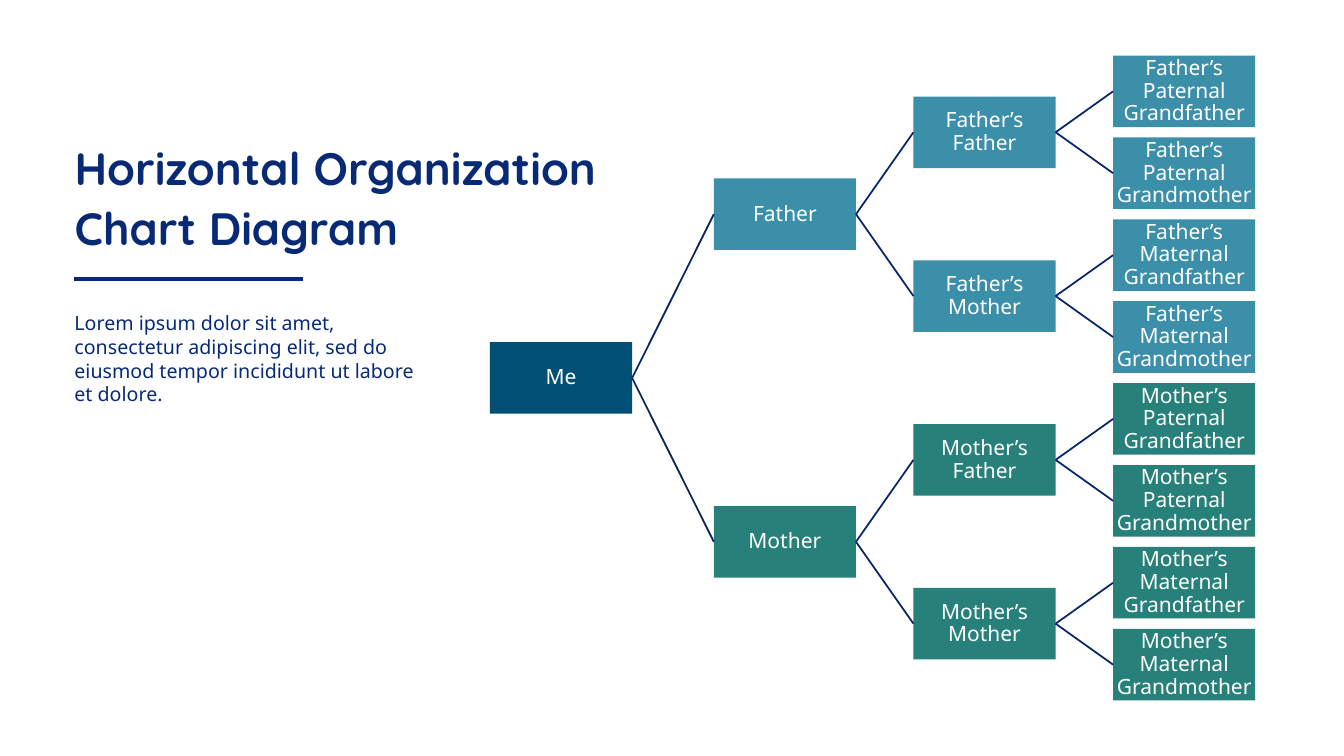
from itertools import product
from lxml import etree
from pptx import Presentation
from pptx.dml.color import RGBColor
from pptx.enum.shapes import MSO_CONNECTOR, MSO_SHAPE
from pptx.enum.text import MSO_ANCHOR, MSO_AUTO_SIZE, PP_ALIGN
from pptx.oxml.ns import qn
from pptx.util import Inches, Pt

RECT = MSO_SHAPE.RECTANGLE
LINE = MSO_CONNECTOR.STRAIGHT
LEFT, MID = PP_ALIGN.LEFT, PP_ALIGN.CENTER
TOP, CENTER, BOTTOM = MSO_ANCHOR.TOP, MSO_ANCHOR.MIDDLE, MSO_ANCHOR.BOTTOM
HEAD, BODY = "Quicksand", "Noto Sans"
NAVY, WHITE = "082A75", "FFFFFF"
ROOT, FATHER, MOTHER = "024F75", "3B8FA9", "27807A"
TRUNK, BRANCH = "06225E", "07266A"

SIDES = ("Father", "Mother")
LEVELS = [
    ["Me"],
    list(SIDES),
    [f"{a}’s {b}" for a, b in product(SIDES, SIDES)],
    [f"{a}’s {b} {c}" for a, b, c in product(
        SIDES, ("Paternal", "Maternal"), ("Grandfather", "Grandmother"))],
]
COLS = (0, 2.22, 4.2, 6.18)
CARD_W, CARD_H = 1.41, 0.71


def color(code):
    return RGBColor.from_string(code)


def write(shape, text, font, size, code, align, anchor, bold=False):
    frame = shape.text_frame
    frame.word_wrap = True
    frame.auto_size = MSO_AUTO_SIZE.NONE
    frame.vertical_anchor = anchor
    para = frame.paragraphs[0]
    para.alignment = align
    run = para.add_run()
    run.text = text
    run.font.name, run.font.size, run.font.bold = font, Pt(size), bold
    run.font.color.rgb = color(code)
    return para


def add_line(slide, ends, code, width):
    line = slide.shapes.add_connector(LINE, *(Inches(v) for v in ends))
    line.line.color.rgb = color(code)
    line.line.width = Pt(width)
    etree.SubElement(line._element.spPr, qn("a:effectLst"))
    return line


def add_card(slide, x, y, text, fill):
    card = slide.shapes.add_shape(
        RECT, Inches(x), Inches(y), Inches(CARD_W), Inches(CARD_H))
    card.shadow.inherit = False
    card.fill.solid()
    card.fill.fore_color.rgb = color(fill)
    card.line.fill.background()
    frame = card.text_frame
    frame.margin_left = frame.margin_right = Inches(0.01)
    frame.margin_top = frame.margin_bottom = Inches(0.01)
    para = write(card, text, BODY, 15, WHITE, MID, CENTER)
    para.line_spacing = 0.9
    return card


def add_intro(slide, x, y, w):
    """Place the title, its rule and the paragraph below it."""
    title = slide.shapes.title
    title.left, title.top = Inches(x), Inches(y)
    title.width, title.height = Inches(w), Inches(1.49)
    para = write(title, "Horizontal Organization Chart Diagram",
                 HEAD, 32.4, NAVY, LEFT, BOTTOM, True)
    para.line_spacing, para.space_after = Pt(43.2), Pt(3)
    rule = y + 1.68
    add_line(slide, (x + 0.09, rule, x + 2.37, rule), NAVY, 3)
    body = slide.shapes.add_textbox(
        Inches(x), Inches(y + 1.95), Inches(3.57), Inches(1.04))
    write(body, "Lorem ipsum dolor sit amet, consectetur adipiscing elit, "
          "sed do eiusmod tempor incididunt ut labore et dolore.",
          BODY, 14, NAVY, LEFT, TOP)


def add_tree(slide, x, y, h):
    """Spread each generation evenly over the height and join it to the last."""
    elders = []
    for depth, names in enumerate(LEVELS):
        step = h / len(names)
        cards = []
        for i, name in enumerate(names):
            fill = (FATHER, MOTHER)[2 * i // len(names)] if depth else ROOT
            top = y + (i + 0.5) * step - CARD_H / 2
            card = add_card(slide, x + COLS[depth], top, name, fill)
            cards.append(card)
            if elders:
                link = add_line(slide, (0, 0, 1, 1),
                                TRUNK if depth == 1 else BRANCH, 1.25)
                link.begin_connect(elders[i // 2], 3)
                link.end_connect(card, 1)
        elders = cards


def main():
    deck = Presentation()
    deck.slide_width, deck.slide_height = Inches(13.33), Inches(7.5)
    slide = deck.slides.add_slide(deck.slide_layouts[5])
    add_intro(slide, 0.64, 1.09, 5.58)
    add_tree(slide, 4.86, 0.5, 6.5)
    deck.save("out.pptx")


if __name__ == "__main__":
    main()
